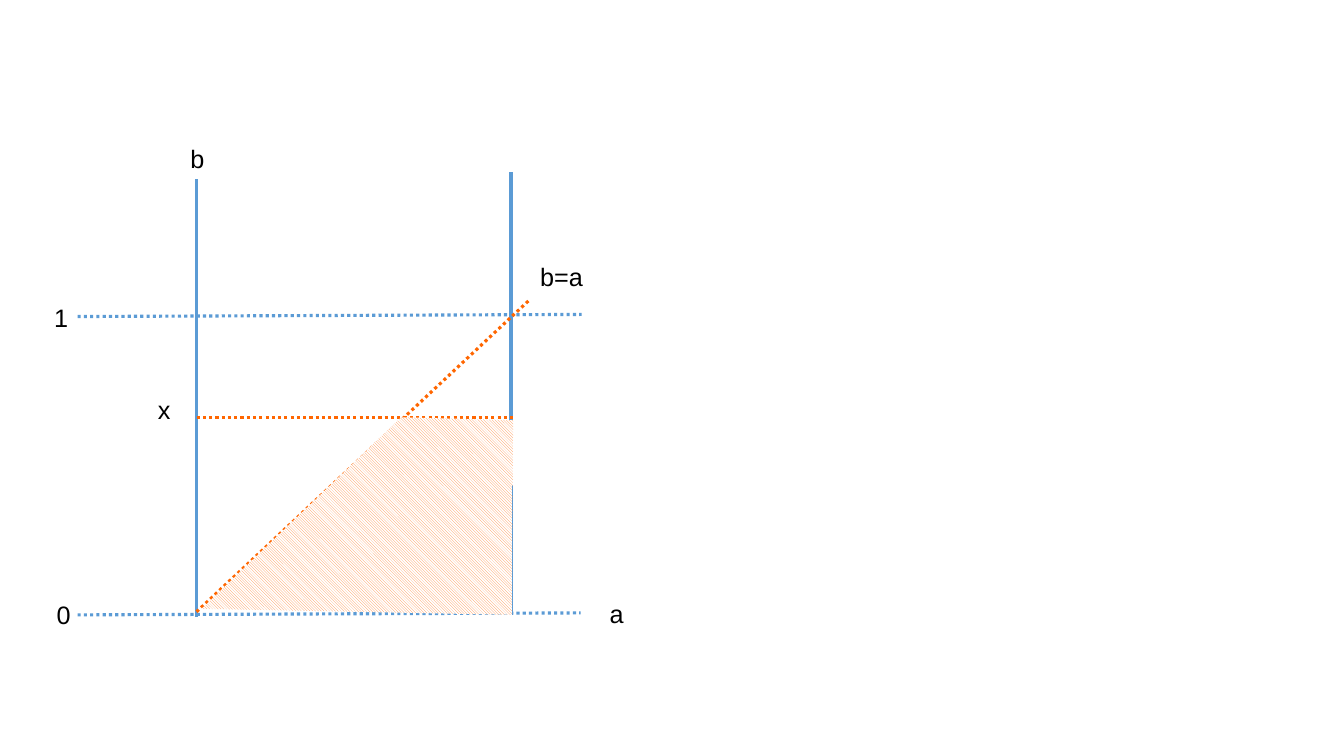
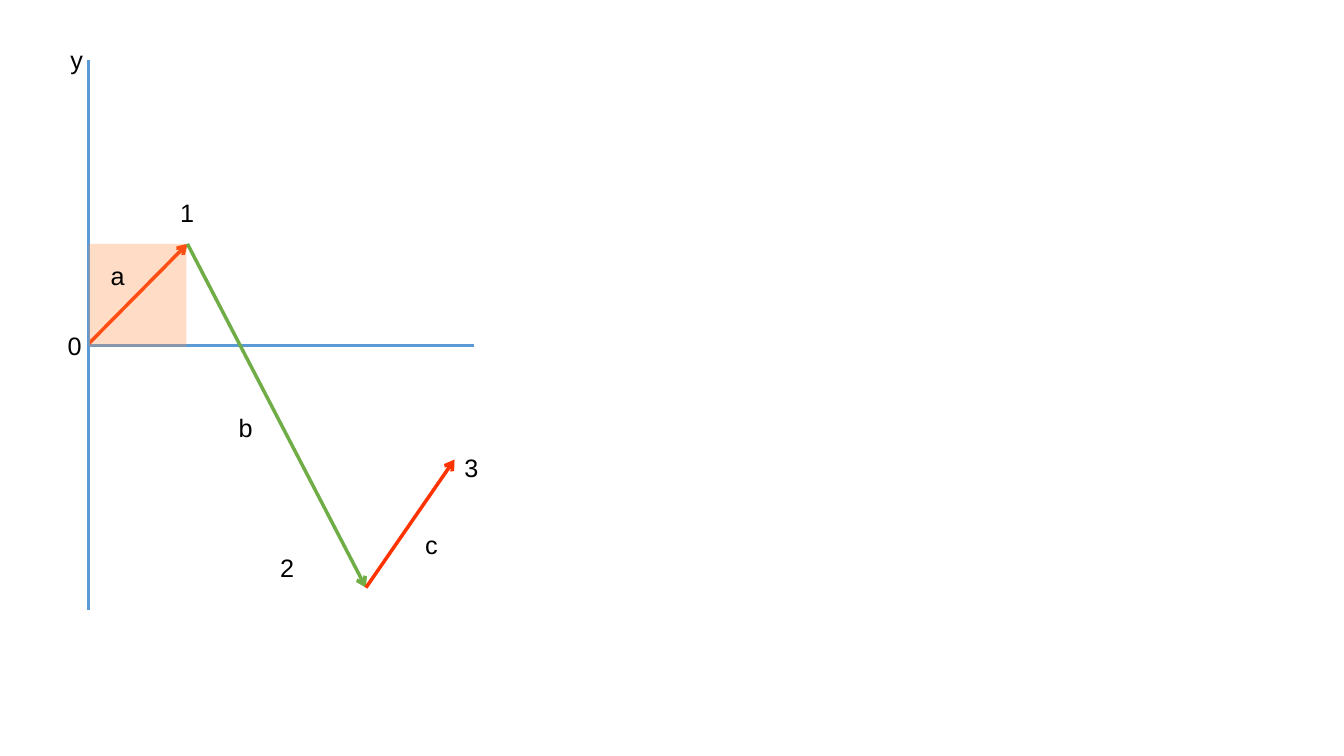
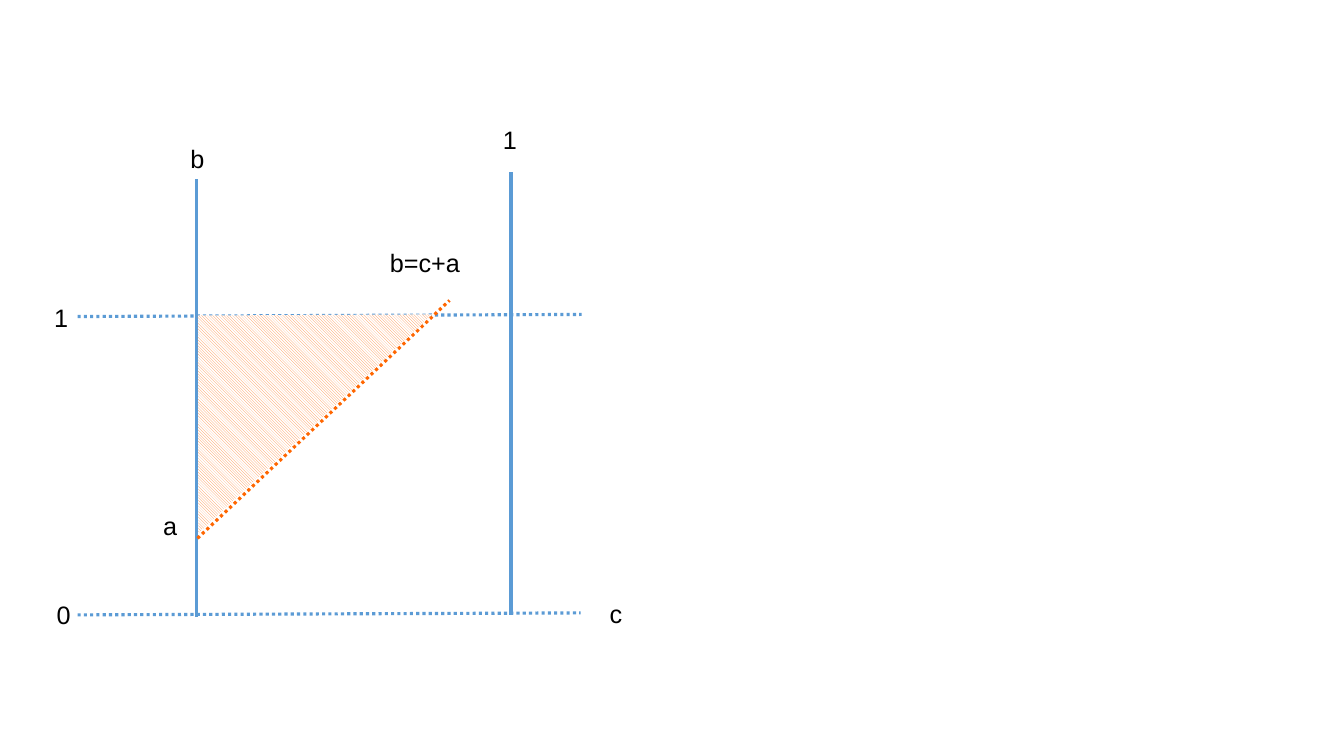
from pptx import Presentation
from pptx.dml.color import RGBColor
from pptx.enum.dml import MSO_LINE, MSO_PATTERN
from pptx.enum.shapes import MSO_CONNECTOR, MSO_SHAPE
from pptx.enum.text import MSO_AUTO_SIZE
from pptx.oxml.ns import qn
from pptx.util import Pt
from lxml import etree

STRAIGHT = MSO_CONNECTOR.STRAIGHT
RECT = MSO_SHAPE.RECTANGLE
DOTS = MSO_LINE.ROUND_DOT
HATCH = MSO_PATTERN.DARK_DOWNWARD_DIAGONAL
GROW = MSO_AUTO_SIZE.SHAPE_TO_FIT_TEXT

BLUE = RGBColor(0x5B, 0x9B, 0xD5)
ORANGE = RGBColor(0xFF, 0x66, 0x00)
PEACH = RGBColor(0xFF, 0x8D, 0x41)
RED = RGBColor(0xFF, 0x33, 0x00)
GREEN = RGBColor(0x70, 0xAD, 0x47)
BLACK = RGBColor(0, 0, 0)
WHITE = RGBColor(0xFF, 0xFF, 0xFF)

FONT, SIZE, HIGH = "Arial", 18, 28.8
THIN, THICK = 2.25, 2.5

# Lines: start, end, colour, width, style ("dots", "arrow" or "")
# Labels: text, left, top, width
FRAME_LINES = [
    ((55.4, 439.2), (414.7, 437.8), BLUE, THIN, "dots"),
    ((140.4, 128.2), (140.4, 440.6), BLUE, THICK, ""),
    ((365, 123.1), (365, 439.2), BLUE, THICK, ""),
    ((55.4, 226.1), (415.4, 224.6), BLUE, THIN, "dots"),
]
FRAME_LABELS = [
    ("0", 35.3, 424.8, 12.2),
    ("1", 31.7, 212.4, 69.1),
    ("b", 128.9, 98.6, 47.5),
]

START, PEAK, LOW, END = (63.4, 245.5), (133.9, 174.2), (261.4, 419.8), (324.7, 328.3)

SLIDES = [
    {
        "lines": FRAME_LINES + [
            ((140.4, 437), (378.7, 213.8), ORANGE, THIN, "dots"),
            ((140.4, 298.1), (366.5, 298.1), ORANGE, THIN, "dots"),
        ],
        "labels": FRAME_LABELS + [
            ("a", 428.4, 424.1, 47.5),
            ("b=a", 378.7, 182.9, 47.5),
            ("x", 105.8, 277.9, 47.5),
        ],
        "hatch": [(144, 434.9), (286.6, 298.1), (366.5, 300.2), (365.8, 439.2)],
    },
    {
        "lines": [
            ((63.4, 247), (338.4, 247), BLUE, THIN, ""),
            (START, PEAK, RED, THICK, "arrow"),
            (PEAK, LOW, GREEN, THICK, "arrow"),
            (LOW, END, RED, THICK, "arrow"),
            ((63.4, 43.2), (63.4, 435.6), BLUE, THICK, ""),
        ],
        "labels": [
            ("0", 43.2, 232.6, 12.2),
            ("1", 121.7, 137.5, 69.1),
            ("2", 193, 391, 69.1),
            ("3", 324.7, 319.7, 69.1),
            ("y", 43.2, 28.1, 28.8),
            ("a", 72, 182.2, 69.1),
            ("b", 163.4, 290.9, 69.1),
            ("c", 296.6, 374.4, 69.1),
        ],
        "square": (63.4, 174.2, 69.8, 73.4),
    },
    {
        "lines": FRAME_LINES + [
            ((141.1, 384.5), (321.1, 214.6), ORANGE, THIN, "dots"),
        ],
        "labels": FRAME_LABELS + [
            ("c", 428.4, 424.1, 47.5),
            ("b=c+a", 271.4, 172.8, 86.4),
            ("a", 109.4, 360.7, 47.5),
            ("1", 352.1, 85, 47.5),
        ],
        "hatch": [(141.1, 225.4), (308.9, 224.6), (141.8, 380.9)],
    },
]


def points(values):
    return [Pt(value) for value in values]


def add_line(slide, start, end, color, width, style):
    link = slide.shapes.add_connector(STRAIGHT, *points(start + end))
    link.line.color.rgb = color
    link.line.width = Pt(width)
    if style == "dots":
        link.line.dash_style = DOTS
    elif style == "arrow":
        outline = link.line._get_or_add_ln()
        etree.SubElement(outline, qn("a:tailEnd"), type="arrow")
    etree.SubElement(link._element.spPr, qn("a:effectLst"))


def add_label(slide, text, left, top, width):
    frame = slide.shapes.add_textbox(*points((left, top, width, HIGH))).text_frame
    frame.word_wrap = True
    frame.auto_size = GROW
    run = frame.paragraphs[0].add_run()
    run.text = text
    run.font.name = FONT
    run.font.size = Pt(SIZE)
    run.font.color.rgb = BLACK


def add_hatch(slide, corners):
    first, *rest = [points(corner) for corner in corners]
    builder = slide.shapes.build_freeform(*first)
    builder.add_line_segments(rest, close=True)
    area = builder.convert_to_shape()
    area.shadow.inherit = False
    area.fill.patterned()
    area.fill.pattern = HATCH
    area.fill.fore_color.rgb = PEACH
    area.fill.back_color.rgb = WHITE
    area.line.fill.background()


def add_square(slide, box):
    """Add a see-through square with 30 % opacity."""
    square = slide.shapes.add_shape(RECT, *points(box))
    square.shadow.inherit = False
    square.fill.solid()
    square.fill.fore_color.rgb = PEACH
    color = square._element.spPr.find(qn("a:solidFill"))[0]
    etree.SubElement(color, qn("a:alpha"), val="30000")
    square.line.fill.background()


def main():
    deck = Presentation()
    deck.slide_width, deck.slide_height = Pt(960), Pt(540)
    blank = deck.slide_layouts[6]
    for content in SLIDES:
        slide = deck.slides.add_slide(blank)
        for line in content["lines"]:
            add_line(slide, *line)
        if "square" in content:
            add_square(slide, content["square"])
        for label in content["labels"]:
            add_label(slide, *label)
        if "hatch" in content:
            add_hatch(slide, content["hatch"])
    deck.save("out.pptx")


if __name__ == "__main__":
    main()
